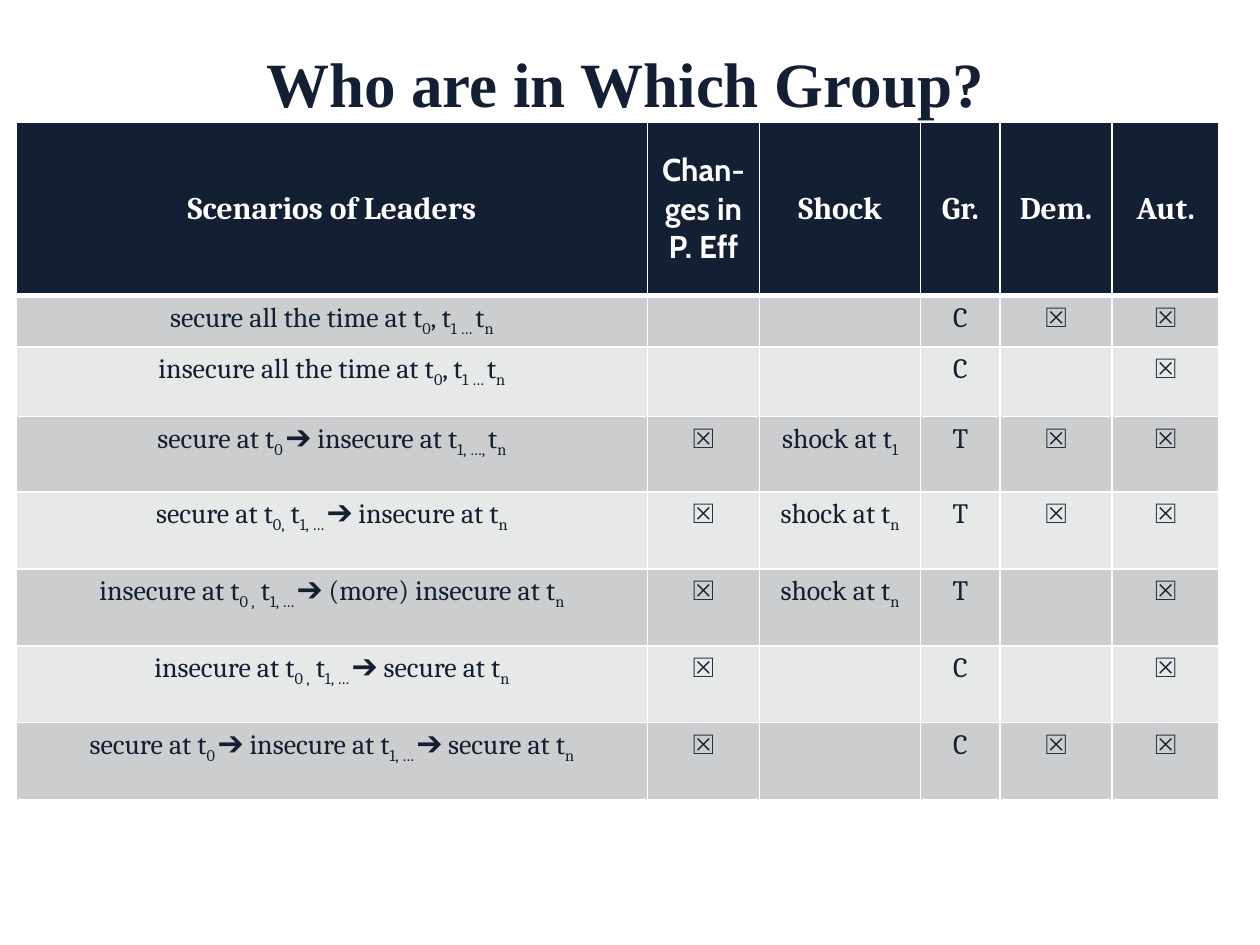
from lxml.etree import SubElement
from pptx import Presentation
from pptx.dml.color import RGBColor
from pptx.enum.text import MSO_ANCHOR as Anchor, PP_ALIGN as Align
from pptx.oxml import parse_xml
from pptx.oxml.ns import nsdecls, qn
from pptx.util import Cm, Pt

NAVY, WHITE = "131F33", "FFFFFF"
BANDS = ["CCCDCE", "E7E8E8"]


def paint(color, code):
    color.rgb = RGBColor.from_string(code)


def edge(cell, sides):
    """Draw white cell borders; sides maps a tag to a width in points."""
    props = cell._tc.get_or_add_tcPr()
    for spot, (tag, width) in enumerate(sides.items()):
        line = parse_xml(f'<a:{tag} {nsdecls("a")} w="{Pt(width)}"/>')
        fill = SubElement(line, qn("a:solidFill"))
        SubElement(fill, qn("a:srgbClr"), val=WHITE)
        props.insert(spot, line)


deck = Presentation()
deck.slide_width, deck.slide_height = Cm(25.4), Cm(19.05)
slide = deck.slides.add_slide(deck.slide_layouts[5])

# Title
title = slide.shapes.title
title.left, title.top = Cm(1.07), Cm(0.76)
title.width, title.height = Cm(23.06), Cm(3.18)
frame = title.text_frame
frame.text = "Who are in Which Group?"
frame.vertical_anchor = Anchor.TOP
para = frame.paragraphs[0]
para.alignment = Align.CENTER
font = para.runs[0].font
font.name, font.size, font.bold = "Times New Roman", Pt(36), True
paint(font.color, NAVY)

# Table content: text between underscores is subscript
X = "☒"
rows = [
    ["Scenarios of Leaders", "Chan-ges in P. Eff", "Shock", "Gr.", "Dem.", "Aut."],
    ["secure all the time at t_0_, t_1 … _t_n", "", "", "C", X, X],
    ["insecure all the time at t_0_, t_1 … _t_n", "", "", "C", "", X],
    ["secure at t_0 _➔ insecure at t_1, …, _t_n", X, "shock at t_1", "T", X, X],
    ["secure at t_0,_ t_1, … _➔ insecure at t_n", X, "shock at t_n", "T", X, X],
    ["insecure at t_0 ,_ t_1, … _➔ (more) insecure at t_n", X, "shock at t_n", "T", "", X],
    ["insecure at t_0 ,_ t_1, … _➔ secure at t_n", X, "", "C", "", X],
    ["secure at t_0 _➔ insecure at t_1, … _➔ secure at t_n", X, "", "C", X, X],
]
widths = [12.72, 2.26, 3.25, 1.6, 2.26, 2.16]
heights = [3.5, 1.04, 1.4, 1.52] + [1.55] * 4

# Table grid
table = slide.shapes.add_table(
    len(rows), len(widths), Cm(0.33), Cm(2.46), Cm(sum(widths)), Cm(sum(heights))
).table
for col, width in zip(table.columns, widths):
    col.width = Cm(width)
for row, height in zip(table.rows, heights):
    row.height = Cm(height)

# Cells
for r, row in enumerate(rows):
    head = r == 0
    for c, text in enumerate(row):
        cell = table.cell(r, c)
        cell.fill.solid()
        paint(cell.fill.fore_color, NAVY if head else BANDS[(r - 1) % 2])
        edge(cell, {"lnL": 1, "lnR": 1, "lnT": 3 if r == 1 else 1, "lnB": 3 if head else 1})
        cell.vertical_anchor = Anchor.MIDDLE if head else Anchor.TOP
        para = cell.text_frame.paragraphs[0]
        para.alignment = Align.CENTER
        if not text:
            continue
        for n, part in enumerate(text.split("_")):
            run = para.add_run()
            run.text = part
            font = run.font
            font.name = "Cabin" if head and c == 1 else "Cambria"
            font.size, font.bold = Pt(18 if head else 16), head
            paint(font.color, WHITE if head else NAVY)
            if n % 2:
                run._r.get_or_add_rPr().set("baseline", "-25000")

deck.save("out.pptx")
